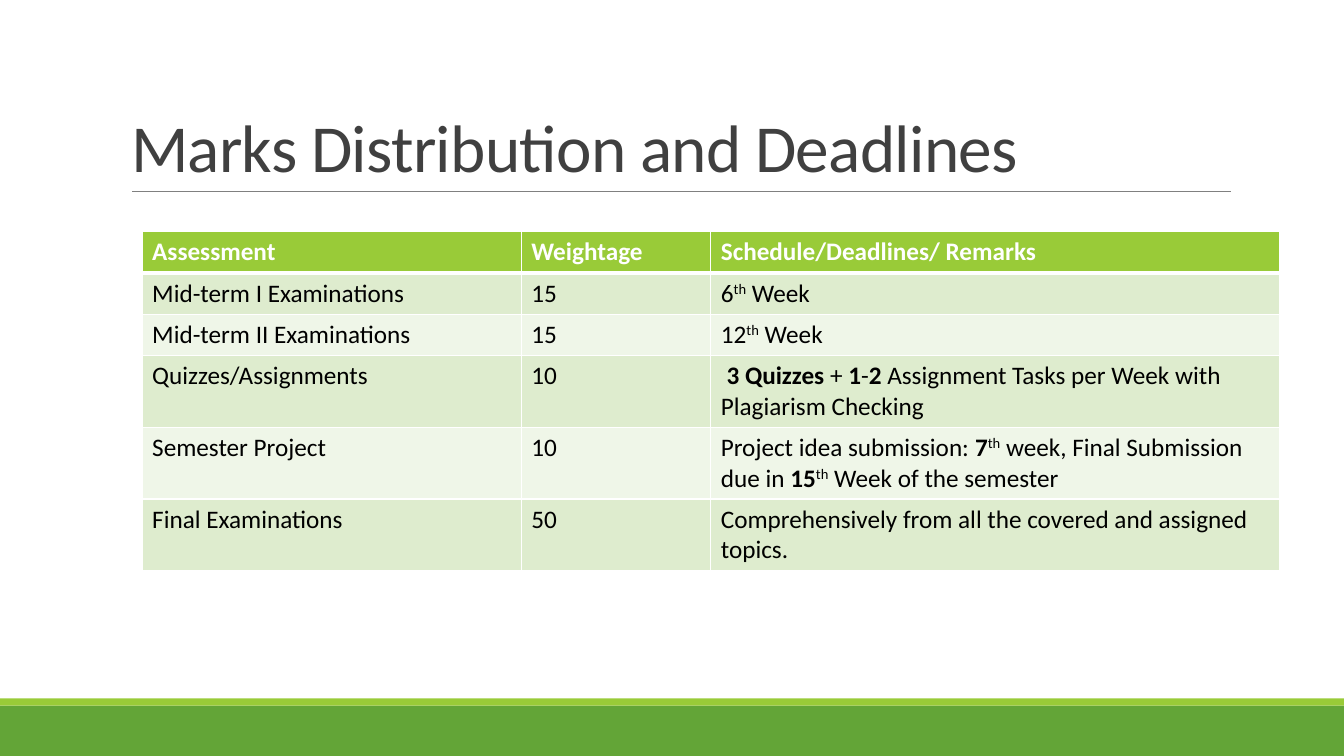
"""Build the slide on marks distribution and deadlines."""
from lxml import etree
from pptx import Presentation
from pptx.dml.color import RGBColor
from pptx.enum import shapes, text
from pptx.oxml import ns
from pptx.util import Inches, Pt

GREEN = RGBColor(0x63, 0xA5, 0x37)
LIME = RGBColor(0x99, 0xCB, 0x38)
BAND_DARK = RGBColor(0xDE, 0xEC, 0xCE)
BAND_LIGHT = RGBColor(0xEF, 0xF6, 0xE8)
GREY = RGBColor(0x80, 0x80, 0x80)
CHARCOAL = RGBColor(0x40, 0x40, 0x40)
WHITE = RGBColor(0xFF, 0xFF, 0xFF)
BLACK = RGBColor(0, 0, 0)
FONT = "Calibri"
PLAIN, BOLD, RAISED = "plain", "bold", "raised"

ROWS = [
    ("Assessment", "Weightage", [("Schedule/Deadlines/ Remarks", BOLD)]),
    ("Mid-term I Examinations", "15",
     [("6", PLAIN), ("th", RAISED), (" Week", PLAIN)]),
    ("Mid-term II Examinations", "15",
     [("12", PLAIN), ("th", RAISED), (" Week", PLAIN)]),
    ("Quizzes/Assignments", "10",
     [(" ", PLAIN), ("3 Quizzes", BOLD), (" + ", PLAIN), ("1", BOLD), ("-", PLAIN), ("2", BOLD),
      (" Assignment Tasks per Week with Plagiarism Checking", PLAIN)]),
    ("Semester Project", "10",
     [("Project idea submission: ", PLAIN), ("7", BOLD), ("th", RAISED),
      (" week, Final Submission due in ", PLAIN), ("15", BOLD), ("th", RAISED),
      (" Week of the semester", PLAIN)]),
    ("Final Examinations", "50",
     [("Comprehensively from all the covered and assigned topics.", PLAIN)]),
]


def add_span(para, words, size, color, style=PLAIN):
    span = para.add_run()
    span.text = words
    span.font.name = FONT
    span.font.size = Pt(size)
    span.font.color.rgb = color
    span.font.bold = style == BOLD
    if style == RAISED:
        span.font._element.set("baseline", "30000")
    return span


def add_borders(cell, bottom_width):
    properties = cell._tc.get_or_add_tcPr()
    for side, width in (("L", 1), ("R", 1), ("T", 1), ("B", bottom_width)):
        line = etree.SubElement(properties, ns.qn(f"a:ln{side}"), w=str(Pt(width)))
        fill = etree.SubElement(line, ns.qn("a:solidFill"))
        etree.SubElement(fill, ns.qn("a:srgbClr"), val=str(WHITE))


deck = Presentation()
deck.slide_width, deck.slide_height = Inches(13.33), Inches(7.5)
page = deck.slides.add_slide(deck.slide_layouts[5])

for top, height, color in ((7, 0.5, GREEN), (6.93, 0.07, LIME)):
    band = page.shapes.add_shape(shapes.MSO_SHAPE.RECTANGLE, 0, Inches(top),
                                 deck.slide_width, Inches(height))
    band.shadow.inherit = False
    band.fill.solid()
    band.fill.fore_color.rgb = color
    band.line.fill.background()

rule = page.shapes.add_connector(shapes.MSO_CONNECTOR.STRAIGHT, Inches(1.31), Inches(1.9),
                                 Inches(12.21), Inches(1.9))
rule.line.color.rgb = GREY
rule.line.width = Pt(0.5)
etree.SubElement(rule._element.spPr, ns.qn("a:effectLst"))

title = page.shapes.title
title.left, title.top = Inches(1.2), Inches(0.31)
title.width, title.height = Inches(11), Inches(1.59)
frame = title.text_frame
frame.auto_size = text.MSO_AUTO_SIZE.NONE
frame.vertical_anchor = text.MSO_ANCHOR.BOTTOM
heading = frame.paragraphs[0]
heading.alignment = text.PP_ALIGN.LEFT
heading.line_spacing = 0.85
span = add_span(heading, "Marks Distribution and Deadlines", 48, CHARCOAL)
span.font._element.set("spc", "-50")

marks = page.shapes.add_table(len(ROWS), 3, Inches(1.41), Inches(2.3),
                              Inches(11.28), Inches(0.41 * len(ROWS))).table
for column, width in zip(marks.columns, (3.76, 1.88, 5.64)):
    column.width = Inches(width)

for row, (assessment, weightage, remarks) in enumerate(ROWS):
    header = row == 0
    style = BOLD if header else PLAIN
    fill_color = LIME if header else BAND_DARK if row % 2 else BAND_LIGHT
    contents = ([(assessment, style)], [(weightage, style)], remarks)
    for column, spans in enumerate(contents):
        cell = marks.cell(row, column)
        add_borders(cell, 3 if header else 1)
        cell.fill.solid()
        cell.fill.fore_color.rgb = fill_color
        for words, span_style in spans:
            add_span(cell.text_frame.paragraphs[0], words, 18,
                     WHITE if header else BLACK, span_style)

deck.save("out.pptx")
